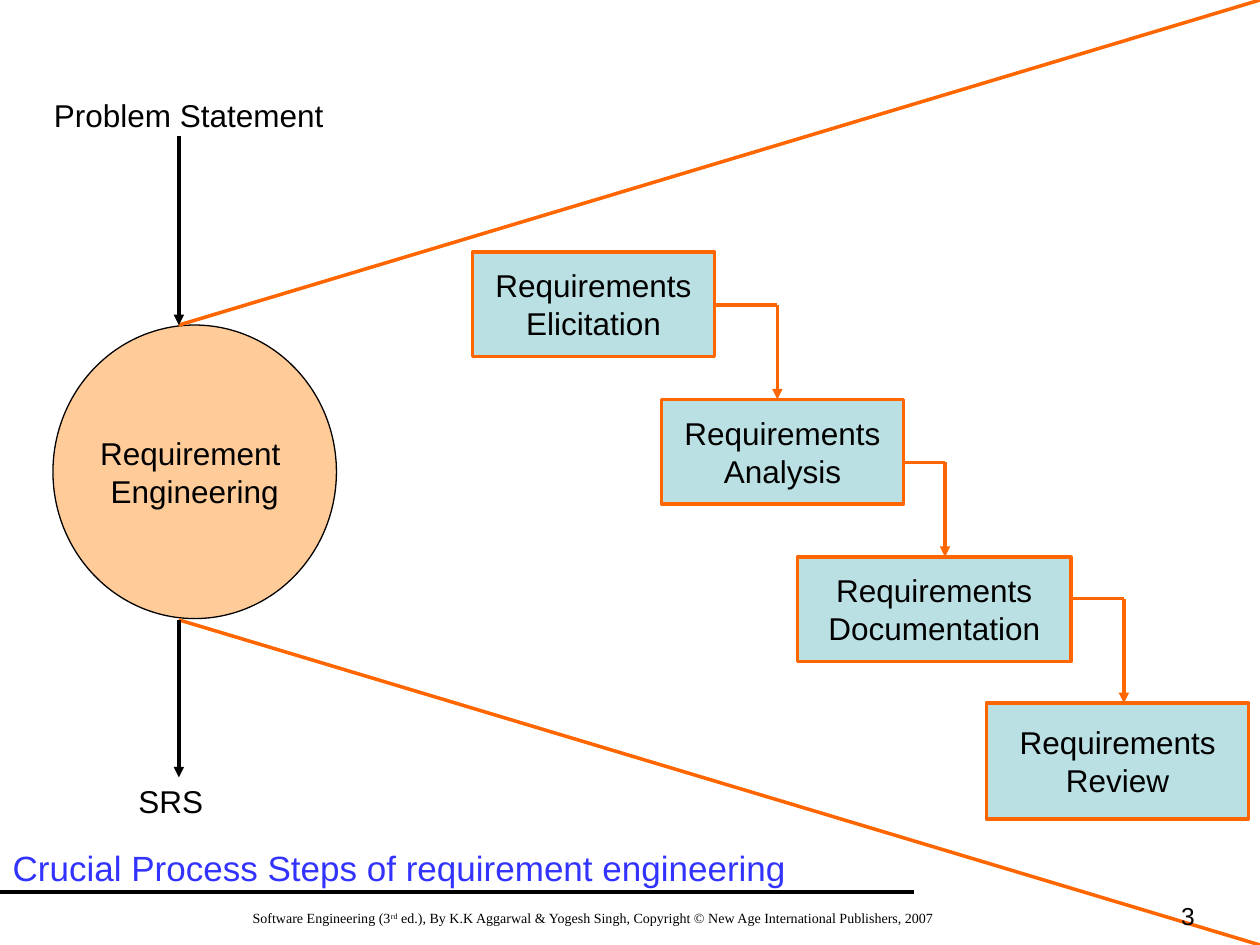
from lxml import etree
from pptx import Presentation
from pptx.dml.color import RGBColor
from pptx.enum.shapes import MSO_CONNECTOR, MSO_SHAPE
from pptx.enum.text import MSO_ANCHOR, PP_ALIGN
from pptx.oxml.ns import qn
from pptx.util import Inches, Pt

LEFT, CENTER, RIGHT = PP_ALIGN.LEFT, PP_ALIGN.CENTER, PP_ALIGN.RIGHT
TOP, MIDDLE = MSO_ANCHOR.TOP, MSO_ANCHOR.MIDDLE
RECT, OVAL = MSO_SHAPE.RECTANGLE, MSO_SHAPE.OVAL
STRAIGHT = MSO_CONNECTOR.STRAIGHT
BLACK = RGBColor(0x00, 0x00, 0x00)
BLUE = RGBColor(0x33, 0x33, 0xFF)
ORANGE = RGBColor(0xFF, 0x66, 0x00)
PEACH = RGBColor(0xFF, 0xCC, 0x99)
TEAL = RGBColor(0xBB, 0xE0, 0xE3)

deck = Presentation()
deck.slide_width, deck.slide_height = Inches(10), Inches(7.5)
slide = deck.slides.add_slide(deck.slide_layouts[5])
shapes = slide.shapes


def write(shape, text, size=18, color=BLACK, align=LEFT, anchor=TOP, wrap=True, font="Arial"):
    frame = shape.text_frame
    frame.text = text
    frame.word_wrap = wrap
    frame.vertical_anchor = anchor
    for para in frame.paragraphs:
        para.alignment = align
        para.font.name = font
        para.font.size = Pt(size)
        para.font.color.rgb = color


def link(start, end, color, arrow=False):
    line = shapes.add_connector(STRAIGHT, *map(Inches, start + end))
    line.line.color.rgb = color
    line.line.width = Pt(2)
    if arrow:
        etree.SubElement(line.line._get_or_add_ln(), qn("a:tailEnd"), type="triangle")
    etree.SubElement(line._element.spPr, qn("a:effectLst"))


footer = shapes.add_textbox(Inches(0.25), Inches(7.17), Inches(8.92), Inches(0.33))
write(footer, "Software Engineering (3", 8, align=CENTER, font="Times New Roman")
para = footer.text_frame.paragraphs[0]
order = para.add_run()
order.text = "rd"
order.font._element.set("baseline", "30000")
para.add_run().text = (" ed.), By K.K Aggarwal & Yogesh Singh, "
                       "Copyright © New Age International Publishers, 2007")

nodes = [
    (OVAL, 0.42, 2.58, 2.25, 2.33, "Requirement \nEngineering", PEACH, BLACK, 0.75),
    (RECT, 3.75, 2, 1.92, 0.83, "Requirements\nElicitation", TEAL, ORANGE, 2),
    (RECT, 5.25, 3.17, 1.92, 0.83, "Requirements\nAnalysis", TEAL, ORANGE, 2),
    (RECT, 6.33, 4.42, 2.17, 0.83, "Requirements\nDocumentation", TEAL, ORANGE, 2),
    (RECT, 7.83, 5.58, 2.08, 0.92, "Requirements\nReview", TEAL, ORANGE, 2),
]
for kind, x, y, wide, high, text, fill, edge, width in nodes:
    node = shapes.add_shape(kind, Inches(x), Inches(y), Inches(wide), Inches(high))
    node.shadow.inherit = False
    node.fill.solid()
    node.fill.fore_color.rgb = fill
    node.line.color.rgb = edge
    node.line.width = Pt(width)
    write(node, text, align=CENTER, anchor=MIDDLE, wrap=False)

link((1.42, 2.58), (10, 0), ORANGE)
link((1.42, 4.92), (10, 7.5), ORANGE)
for x, y, turn, end in [(5.67, 2.42, 6.17, 3.17), (7.17, 3.67, 7.5, 4.42), (8.5, 4.75, 8.92, 5.58)]:
    link((x, y), (turn, y), ORANGE)
    link((turn, y), (turn, end), ORANGE, arrow=True)

for x, y, wide, text in [(0.33, 0.71, 2.45, "Problem Statement"), (1, 6.16, 0.8, "SRS")]:
    write(shapes.add_textbox(Inches(x), Inches(y), Inches(wide), Inches(0.4)), text)
link((1.42, 1.08), (1.42, 2.58), BLACK, arrow=True)
link((1.42, 4.92), (1.42, 6.17), BLACK, arrow=True)

title = shapes.title
title.left, title.top = Inches(0), Inches(6.67)
title.width, title.height = Inches(8.58), Inches(0.44)
write(title, "Crucial Process Steps of requirement engineering", 20, BLUE)
link((0, 7.08), (7.25, 7.08), BLACK)

number = shapes.add_textbox(Inches(7.25), Inches(7.1), Inches(2.33), Inches(0.33))
write(number, "3", 14, align=RIGHT)

deck.save("out.pptx")
